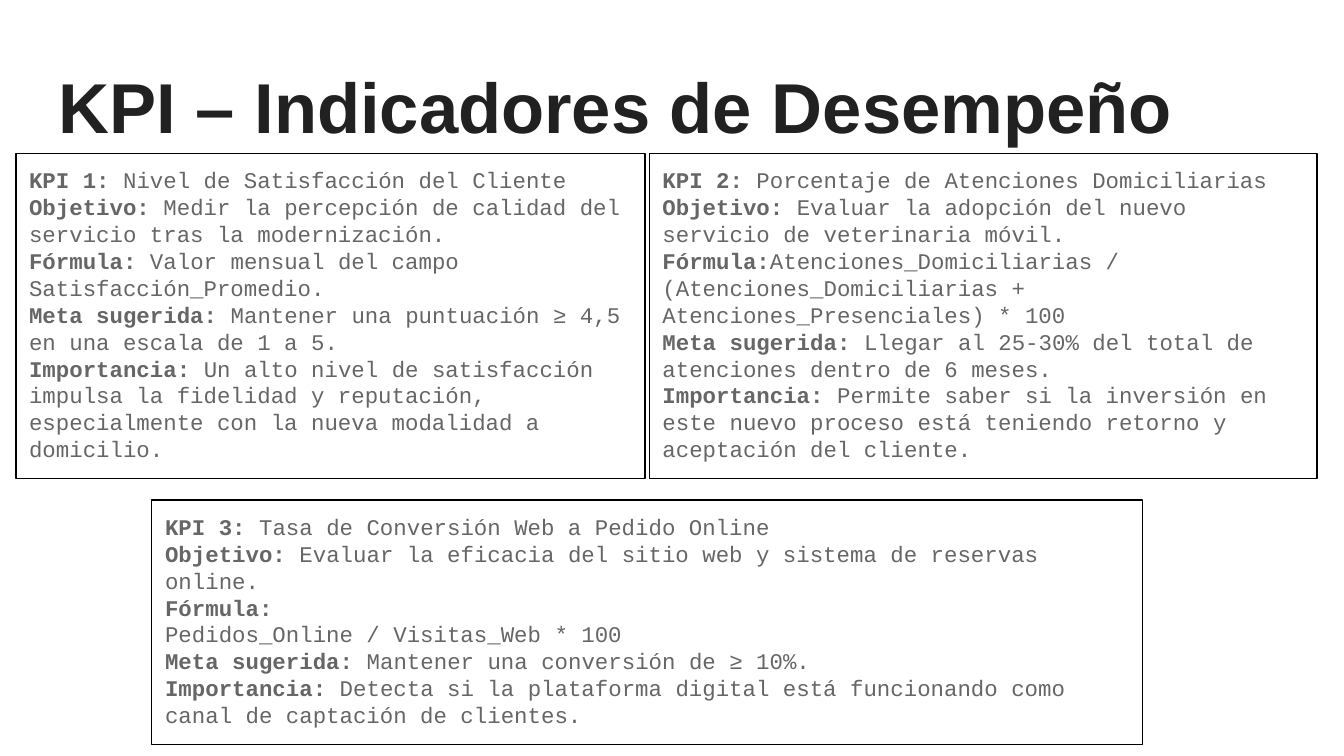
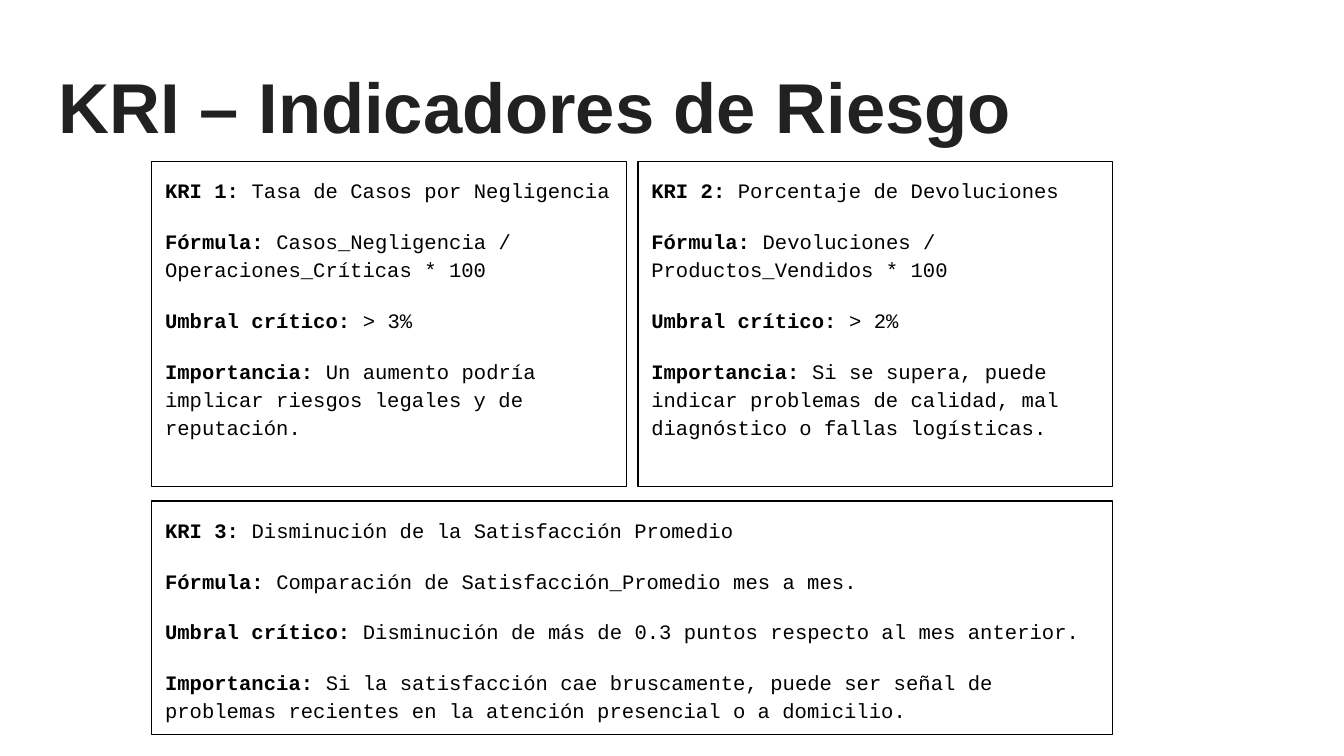
from pptx import Presentation
from pptx.dml.color import RGBColor
from pptx.enum.shapes import MSO_SHAPE
from pptx.enum.text import MSO_ANCHOR, MSO_AUTO_SIZE, PP_ALIGN
from pptx.util import Cm, Pt


def color(value):
    return RGBColor.from_string(value)


class Deck:
    """Holds the shared style and the current slide."""

    TITLE_FONT, TITLE_SIZE, TITLE_COLOR = "Arial", 37.8, "212121"
    CARD_FONT, BORDER_COLOR = "Courier New", "000000"
    INSET = 0.25

    def __init__(self):
        self.presentation = Presentation()
        self.presentation.slide_width = Cm(25.4)
        self.presentation.slide_height = Cm(14.29)
        self.slide = None

    def set_frame(self, text_frame, anchor, auto_size):
        text_frame.word_wrap = True
        text_frame.auto_size = auto_size
        text_frame.vertical_anchor = anchor
        text_frame.margin_left = text_frame.margin_right = Cm(self.INSET)
        text_frame.margin_top = text_frame.margin_bottom = Cm(self.INSET)

    def format_run(self, run, font, size, fill, bold):
        run.font.name = font
        run.font.size = Pt(size)
        run.font.bold = bold
        run.font.color.rgb = color(fill)

    def add_slide(self, title):
        layout = self.presentation.slide_layouts[5]
        self.slide = self.presentation.slides.add_slide(layout)
        shape = self.slide.shapes.title
        shape.left, shape.top = Cm(0.86), Cm(0.81)
        shape.width, shape.height = Cm(23.67), Cm(2.24)
        self.set_frame(shape.text_frame, MSO_ANCHOR.BOTTOM, MSO_AUTO_SIZE.NONE)
        shape.text_frame.text = title
        paragraph = shape.text_frame.paragraphs[0]
        paragraph.alignment = PP_ALIGN.LEFT
        self.format_run(paragraph.runs[0], self.TITLE_FONT, self.TITLE_SIZE,
                        self.TITLE_COLOR, True)

    def add_card(self, box, entries, size, fill, grow=True, spaced=False):
        """Draw a bordered card; each entry is a bold label and a plain text."""
        shape = self.slide.shapes.add_shape(
            MSO_SHAPE.RECTANGLE, *(Cm(length) for length in box))
        shape.shadow.inherit = False
        shape.fill.background()
        shape.line.color.rgb = color(self.BORDER_COLOR)
        shape.line.width = Pt(0.75)
        text_frame = shape.text_frame
        auto_size = MSO_AUTO_SIZE.SHAPE_TO_FIT_TEXT if grow else MSO_AUTO_SIZE.NONE
        self.set_frame(text_frame, MSO_ANCHOR.TOP, auto_size)
        for index, entry in enumerate(entries):
            paragraph = text_frame.add_paragraph() if index else text_frame.paragraphs[0]
            paragraph.alignment = PP_ALIGN.LEFT
            if spaced:
                paragraph.line_spacing = 1.15
                paragraph.space_before = Pt(12)
            for text, bold in zip(entry, (True, False)):
                if text:
                    run = paragraph.add_run()
                    run.text = text
                    self.format_run(run, self.CARD_FONT, size, fill, bold)
        if spaced:
            paragraph.space_after = Pt(12)


def add_kpi_slide(deck):
    deck.add_slide("KPI – Indicadores de Desempeño")
    top, height = 2.9, 6.15
    cards = [
        ((2.87, 9.45, 18.72, 4.62), [
            ("KPI 3:", " Tasa de Conversión Web a Pedido Online"),
            ("Objetivo:", " Evaluar la eficacia del sitio web y sistema de reservas online."),
            ("Fórmula:", ""),
            ("", "Pedidos_Online / Visitas_Web * 100"),
            ("Meta sugerida:", " Mantener una conversión de ≥ 10%."),
            ("Importancia:", " Detecta si la plataforma digital está funcionando "
                             "como canal de captación de clientes."),
        ]),
        ((0.3, top, 11.89, height), [
            ("KPI 1:", " Nivel de Satisfacción del Cliente"),
            ("Objetivo:", " Medir la percepción de calidad del servicio "
                          "tras la modernización."),
            ("Fórmula:", " Valor mensual del campo Satisfacción_Promedio."),
            ("Meta sugerida:", " Mantener una puntuación ≥ 4,5 en una escala de 1 a 5."),
            ("Importancia:", " Un alto nivel de satisfacción impulsa la fidelidad y "
                             "reputación, especialmente con la nueva modalidad a domicilio."),
        ]),
        ((12.27, top, 12.62, height), [
            ("KPI 2:", " Porcentaje de Atenciones Domiciliarias"),
            ("Objetivo:", " Evaluar la adopción del nuevo servicio de veterinaria móvil."),
            ("Fórmula:", "Atenciones_Domiciliarias / (Atenciones_Domiciliarias + "
                         "Atenciones_Presenciales) * 100"),
            ("Meta sugerida:", " Llegar al 25-30% del total de atenciones "
                               "dentro de 6 meses."),
            ("Importancia:", " Permite saber si la inversión en este nuevo proceso está "
                             "teniendo retorno y aceptación del cliente."),
        ]),
    ]
    for box, entries in cards:
        deck.add_card(box, entries, 12, "666666")


def add_kri_slide(deck):
    deck.add_slide("KRI – Indicadores de Riesgo")
    left, top, width, height, gap = 2.87, 3.05, 8.97, 6.15, 0.22
    # Each card: box, whether it grows with its text, and its four values
    cards = [
        ((left, top, width, height), False, (
            "Tasa de Casos por Negligencia",
            "Casos_Negligencia / Operaciones_Críticas * 100",
            "> 3%",
            "Un aumento podría implicar riesgos legales y de reputación.")),
        ((left + width + gap, top, width, height), False, (
            "Porcentaje de Devoluciones",
            "Devoluciones / Productos_Vendidos * 100",
            "> 2%",
            "Si se supera, puede indicar problemas de calidad, mal diagnóstico "
            "o fallas logísticas.")),
        ((left, 9.47, 2 * width + gap, 4.42), True, (
            "Disminución de la Satisfacción Promedio",
            "Comparación de Satisfacción_Promedio mes a mes.",
            "Disminución de más de 0.3 puntos respecto al mes anterior.",
            "Si la satisfacción cae bruscamente, puede ser señal de problemas "
            "recientes en la atención presencial o a domicilio.")),
    ]
    for number, (box, grow, values) in enumerate(cards, 1):
        labels = (f"KRI {number}:", "Fórmula:", "Umbral crítico:", "Importancia:")
        entries = [(label, " " + value) for label, value in zip(labels, values)]
        deck.add_card(box, entries, 11, "000000", grow, spaced=True)


def main():
    deck = Deck()
    add_kpi_slide(deck)
    add_kri_slide(deck)
    deck.presentation.save("out.pptx")


if __name__ == "__main__":
    main()
